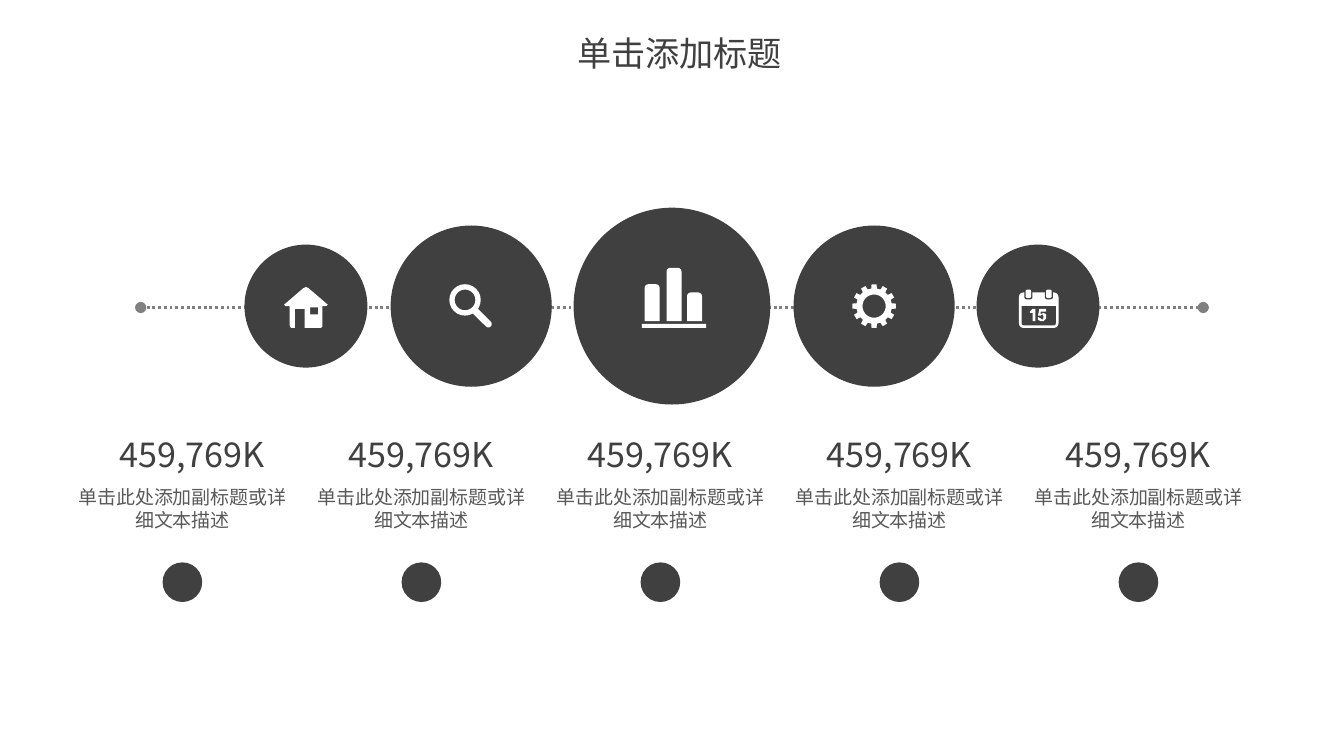
from math import cos, pi, sin

from lxml.etree import SubElement
from pptx import Presentation
from pptx.dml.color import RGBColor
from pptx.enum.dml import MSO_LINE
from pptx.enum.shapes import MSO_CONNECTOR, MSO_SHAPE
from pptx.enum.text import MSO_ANCHOR, PP_ALIGN
from pptx.oxml.ns import qn
from pptx.util import Inches, Pt

COLORS = {"dark": "404040", "caption": "595959", "line": "808080", "icon": "FFFFFF"}
FONT = "Noto Sans CJK SC"
AXIS = 2.24
# centre x and diameter
CIRCLES = [(4.92, 1.44), (6.4, 1.18), (7.6, 0.9), (2.24, 0.9), (3.45, 1.18)]
COLUMN_COUNT, COLUMN_LEFT, COLUMN_STEP, COLUMN_WIDTH = 5, 0.54, 1.75, 1.59
NUMBER_WIDTH = 1.08


def circle_points(x, y, radius, steps=48):
    return [(x + radius * cos(2 * pi * step / steps), y + radius * sin(2 * pi * step / steps))
            for step in range(steps)]


def gear_points(x, y, outer, inner, teeth=12):
    """Outline with a tooth centred on every multiple of the pitch."""
    points = []
    for tooth in range(teeth):
        for offset, radius in ((-0.3, inner), (-0.22, outer), (0.22, outer), (0.3, inner)):
            angle = 2 * pi * (tooth + offset) / teeth
            points.append((x + radius * cos(angle), y + radius * sin(angle)))
    return points


class SlideBuilder:
    def __init__(self, slide):
        self.slide = slide

    def paint(self, shape, color):
        shape.shadow.inherit = False
        shape.fill.solid()
        shape.fill.fore_color.rgb = RGBColor.from_string(COLORS[color])
        shape.line.fill.background()
        return shape

    def shape(self, kind, left, top, width, height, color="icon", adjustment=None):
        shape = self.slide.shapes.add_shape(
            kind, Inches(left), Inches(top), Inches(width), Inches(height))
        if adjustment is not None:
            shape.adjustments[0] = adjustment
        return self.paint(shape, color)

    def circle(self, x, y, diameter):
        self.shape(MSO_SHAPE.OVAL, x - diameter / 2, y - diameter / 2,
                   diameter, diameter, "dark")

    def outline(self, *contours):
        """Icon part; contours after the first are holes."""
        builder = None
        for contour in contours:
            start, *rest = [(Inches(x), Inches(y)) for x, y in contour]
            if builder is None:
                builder = self.slide.shapes.build_freeform(*start)
            else:
                builder.move_to(*start)
            builder.add_line_segments(rest, close=True)
        self.paint(builder.convert_to_shape(), "icon")

    def dotted_line(self, start, end, y):
        connector = self.slide.shapes.add_connector(
            MSO_CONNECTOR.STRAIGHT, Inches(start), Inches(y), Inches(end), Inches(y))
        connector.line.color.rgb = RGBColor.from_string(COLORS["line"])
        connector.line.width = Pt(1.5)
        connector.line.dash_style = MSO_LINE.ROUND_DOT
        line = connector.line._get_or_add_ln()
        for end_tag in ("a:headEnd", "a:tailEnd"):
            SubElement(line, qn(end_tag), type="oval")
        SubElement(connector._element.spPr, qn("a:effectLst"))

    def text(self, words, left, top, width, height, size, color="dark",
             wrap=False, spacing=None):
        frame = self.slide.shapes.add_textbox(
            Inches(left), Inches(top), Inches(width), Inches(height)).text_frame
        frame.margin_left = frame.margin_right = frame.margin_top = frame.margin_bottom = 0
        frame.word_wrap = wrap
        frame.vertical_anchor = MSO_ANCHOR.MIDDLE
        paragraph = frame.paragraphs[0]
        paragraph.text = words
        paragraph.alignment = PP_ALIGN.CENTER
        if spacing:
            paragraph.line_spacing = Pt(spacing)
        paragraph.font.size = Pt(size)
        paragraph.font.name = FONT
        paragraph.font.color.rgb = RGBColor.from_string(COLORS[color])
        SubElement(paragraph._p.pPr.find(qn("a:defRPr")), qn("a:ea"), typeface=FONT)

    def column(self, index):
        left = COLUMN_LEFT + index * COLUMN_STEP
        center = left + COLUMN_WIDTH / 2
        number_center = center + (0.07 if index == 0 else 0)
        self.text("459,769K", number_center - NUMBER_WIDTH / 2, 3.17, NUMBER_WIDTH, 0.3, 18)
        self.text("单击此处添加副标题或详细文本描述", left, 3.55, COLUMN_WIDTH, 0.34, 10,
                  "caption", wrap=True, spacing=12.25)
        self.circle(center, 4.26, 0.29)

    def house(self):
        self.outline(
            [(2.08, 2.23), (2.22, 2.11), (2.24, 2.1), (2.26, 2.11), (2.4, 2.23), (2.39, 2.24),
             (2.36, 2.24), (2.36, 2.39), (2.35, 2.4), (2.23, 2.4), (2.23, 2.26), (2.16, 2.26),
             (2.16, 2.4), (2.13, 2.4), (2.12, 2.38), (2.12, 2.24), (2.09, 2.24)],
            [(2.27, 2.25), (2.33, 2.25), (2.33, 2.3), (2.27, 2.3)])

    def magnifier(self):
        self.shape(MSO_SHAPE.DONUT, 3.29, 2.08, 0.23, 0.23, adjustment=0.17)
        handle = self.shape(MSO_SHAPE.ROUNDED_RECTANGLE, 3.44, 2.3, 0.18, 0.05, adjustment=0.5)
        handle.rotation = 45

    def bar_chart(self):
        for left, top in ((4.72, 2.08), (4.88, 1.96), (5.03, 2.14)):
            self.shape(MSO_SHAPE.ROUND_2_SAME_RECTANGLE, left, top, 0.11, 2.35 - top,
                       adjustment=0.25)
        self.shape(MSO_SHAPE.RECTANGLE, 4.7, 2.37, 0.47, 0.03)

    def gear(self):
        self.outline(gear_points(6.4, AXIS, 0.16, 0.13), circle_points(6.4, AXIS, 0.085))

    def calendar(self):
        rounded = MSO_SHAPE.ROUNDED_RECTANGLE
        self.shape(rounded, 7.46, 2.14, 0.29, 0.26, adjustment=0.13)
        self.shape(MSO_SHAPE.ROUND_2_SAME_RECTANGLE, 7.48, 2.24, 0.25, 0.14, "dark",
                   adjustment=0.1).rotation = 180
        for ring in (7.53, 7.68):
            self.shape(rounded, ring - 0.03, 2.11, 0.06, 0.08, "dark", 0.25)
            self.shape(rounded, ring - 0.02, 2.12, 0.04, 0.06, adjustment=0.25)
        self.outline([(7.54, 2.28), (7.56, 2.26), (7.58, 2.26), (7.58, 2.35), (7.56, 2.35),
                      (7.56, 2.29), (7.54, 2.29)])
        self.outline([(7.61, 2.26), (7.66, 2.26), (7.66, 2.28), (7.62, 2.28), (7.62, 2.3),
                      (7.64, 2.29), (7.66, 2.3), (7.66, 2.33), (7.64, 2.35), (7.62, 2.35),
                      (7.6, 2.34), (7.6, 2.32), (7.62, 2.33), (7.63, 2.34), (7.64, 2.33),
                      (7.64, 2.31), (7.63, 2.3), (7.62, 2.31), (7.6, 2.31)])


def main():
    presentation = Presentation()
    presentation.slide_width, presentation.slide_height = Inches(9.84), Inches(5.51)
    builder = SlideBuilder(presentation.slides.add_slide(presentation.slide_layouts[6]))
    builder.dotted_line(8.81, 1.03, 2.25)
    for x, diameter in CIRCLES:
        builder.circle(x, AXIS, diameter)
    for index in range(COLUMN_COUNT):
        builder.column(index)
    builder.house()
    builder.magnifier()
    builder.bar_chart()
    builder.gear()
    builder.calendar()
    builder.text("单击添加标题", 4.22, 0.24, 1.51, 0.3, 18)
    presentation.save("out.pptx")


if __name__ == "__main__":
    main()
